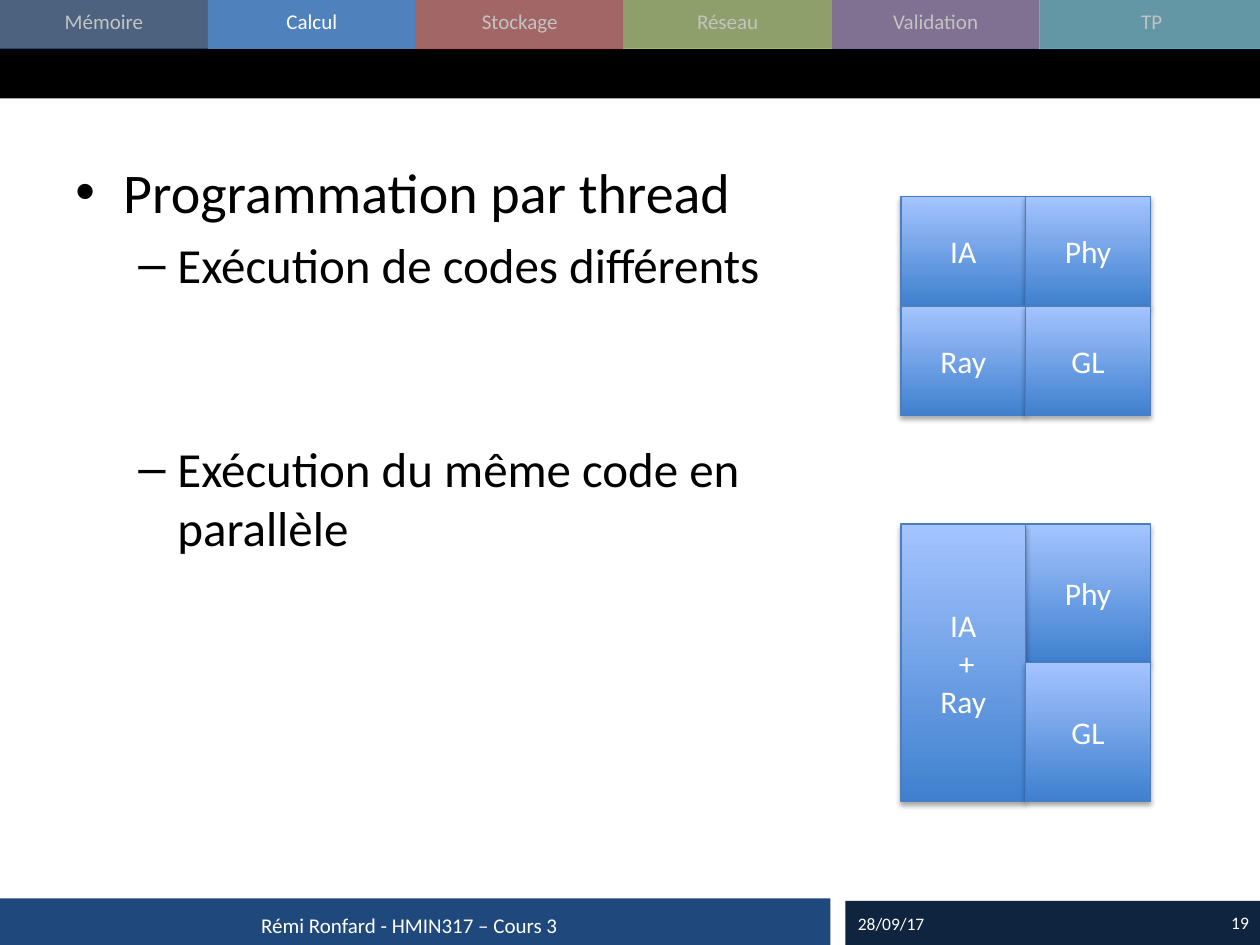
from lxml.etree import SubElement as Sub
from pptx import Presentation
from pptx.dml.color import RGBColor as RGB
from pptx.enum.shapes import MSO_SHAPE as Shape
from pptx.enum.text import MSO_ANCHOR as Anchor, PP_ALIGN as Align
from pptx.oxml.ns import qn
from pptx.util import Inches, Pt

WHITE, BLACK, GREY = RGB(255, 255, 255), RGB(0, 0, 0), RGB(0x80, 0x80, 0x80)
NAVY, DARK = RGB(0x1F, 0x49, 0x7D), RGB(0x0F, 0x24, 0x3E)
DEEP, PALE = RGB(0x3F, 0x80, 0xCE), RGB(0xA4, 0xC4, 0xFF)
EDGE = RGB(0x4B, 0x7E, 0xBC)
TABS = [
    ("Mémoire", NAVY),
    ("Calcul", RGB(0x4F, 0x81, 0xBD)),
    ("Stockage", RGB(0xC0, 0x50, 0x4D)),
    ("Réseau", RGB(0x9B, 0xBB, 0x59)),
    ("Validation", RGB(0x80, 0x64, 0xA2)),
    ("TP", RGB(0x4B, 0xAC, 0xC6)),
]
STEP, BAR = 1.65, 0.39
LEFT, CELL = 7.15, 0.99


def add_run(para, text, size, color=WHITE):
    """Append one styled run to a paragraph."""
    run = para.add_run()
    run.text = text
    run.font.name, run.font.size = "Calibri", Pt(size)
    run.font.color.rgb = color


def add_bar(shapes, x, y, w, h, color, alpha=None):
    """Draw a flat rectangle, see-through when alpha is given."""
    bar = shapes.add_shape(Shape.RECTANGLE, Inches(x), Inches(y), Inches(w), Inches(h))
    bar.shadow.inherit = False
    bar.fill.solid()
    bar.fill.fore_color.rgb = color
    bar.line.fill.background()
    if alpha:
        tint = bar.fill._xPr.find(".//" + qn("a:srgbClr"))
        Sub(tint, qn("a:alpha"), val=str(alpha * 1000))


def add_box(shapes, x, y, w, h):
    """Add an empty wrapping text box and return its frame."""
    frame = shapes.add_textbox(Inches(x), Inches(y), Inches(w), Inches(h)).text_frame
    frame.word_wrap = True
    return frame


def add_label(shapes, x, y, w, h, text, size, align, anchor=Anchor.MIDDLE):
    """Add one line of white text and return its frame."""
    frame = add_box(shapes, x, y, w, h)
    frame.vertical_anchor = anchor
    para = frame.paragraphs[0]
    para.alignment = align
    add_run(para, text, size)
    return frame


def add_item(para, text, size, mark, left, hang, gap):
    """Fill a paragraph as a bulleted list item."""
    props = para._p.get_or_add_pPr()
    props.set("marL", str(Inches(left)))
    props.set("indent", str(-Inches(hang)))
    para.space_before = Pt(gap)
    Sub(props, qn("a:buFont"), typeface="Arial")
    Sub(props, qn("a:buChar"), char=mark)
    add_run(para, text, size, BLACK)


def add_shade(shape):
    """Give a shape a soft shadow below it."""
    shape.shadow.inherit = False
    effects = shape._element.spPr.find(qn("a:effectLst"))
    outer = Sub(effects, qn("a:outerShdw"), blurRad=str(Pt(3.1)), dist=str(Pt(1.8)),
                dir="5400000", rotWithShape="0")
    Sub(Sub(outer, qn("a:srgbClr"), val=str(BLACK)), qn("a:alpha"), val="35000")


def add_block(shapes, x, y, h, lines):
    """Draw a gradient block with centred lines."""
    block = shapes.add_shape(Shape.RECTANGLE, Inches(x), Inches(y), Inches(CELL), Inches(h))
    block.fill.gradient()
    block.fill.gradient_angle = 90
    for stop, color in zip(block.fill.gradient_stops, (DEEP, PALE)):
        stop.color.rgb = color
    block.line.color.rgb, block.line.width = EDGE, Pt(0.75)
    add_shade(block)
    frame = block.text_frame
    frame.vertical_anchor = Anchor.MIDDLE
    for num, line in enumerate(lines):
        para = frame.add_paragraph() if num else frame.paragraphs[0]
        para.alignment = Align.CENTER
        add_run(para, line, 18)


def add_tabs(shapes):
    """Draw the section tabs, dimming all but the current one."""
    for num, (name, color) in enumerate(TABS):
        wide = 1.78 if name == "TP" else STEP
        add_bar(shapes, num * STEP, 0, wide, BAR, color)
        add_label(shapes, num * STEP, 0.02, wide, 0.3, name, 12, Align.CENTER, Anchor.TOP)
    add_bar(shapes, 0, BAR, 10.04, BAR, BLACK)
    add_bar(shapes, 2 * STEP, -0.01, 6.73, BAR, GREY, 47)
    add_bar(shapes, 0, -0.01, STEP, BAR, GREY, 47)


def add_body(shapes):
    """Write the bulleted list."""
    frame = add_box(shapes, 0.5, 1.2, 5.8, 5.5)
    add_item(frame.paragraphs[0], "Programmation par thread", 32, "•", 0.38, 0.38, 0)
    for text, gap in (("Exécution de codes différents", 5.6),
                      ("Exécution du même code en parallèle", 83)):
        para = frame.add_paragraph()
        para.level = 1
        add_item(para, text, 28, "–", 0.81, 0.31, gap)


def add_grids(shapes):
    """Draw the two thread layouts."""
    right = LEFT + CELL
    top = shapes.add_group_shape().shapes
    for num, name in enumerate(("IA", "Phy", "Ray", "GL")):
        row, col = divmod(num, 2)
        add_block(top, LEFT + col * CELL, 1.56 + row * 0.87, 0.87, [name])
    low = shapes.add_group_shape().shapes
    add_block(low, right, 4.16, 1.1, ["Phy"])
    add_block(low, LEFT, 4.16, 2.2, ["IA", " +", "Ray"])
    add_block(low, right, 5.26, 1.1, ["GL"])


def add_footer(shapes):
    """Draw the footer with course, date and page number."""
    add_bar(shapes, -0.01, 7.13, 6.6, 0.38, NAVY)
    add_bar(shapes, 6.71, 7.15, 3.31, 0.38, DARK)
    course = add_label(shapes, -0.01, 7.15, 6.6, 0.38,
                       "Rémi Ronfard - HMIN317 – Cours 3", 12, Align.CENTER)
    course.margin_right = Inches(0.18)
    add_label(shapes, 6.71, 7.14, 0.98, 0.38, "28/09/17", 10, Align.LEFT)
    add_label(shapes, 7.68, 7.14, 2.33, 0.37, "19", 10, Align.RIGHT)


def main():
    """Build and save the slide."""
    deck = Presentation()
    deck.slide_width, deck.slide_height = Inches(10), Inches(7.5)
    shapes = deck.slides.add_slide(deck.slide_layouts[6]).shapes
    add_tabs(shapes)
    add_body(shapes)
    add_grids(shapes)
    add_footer(shapes)
    deck.save("out.pptx")


if __name__ == "__main__":
    main()
